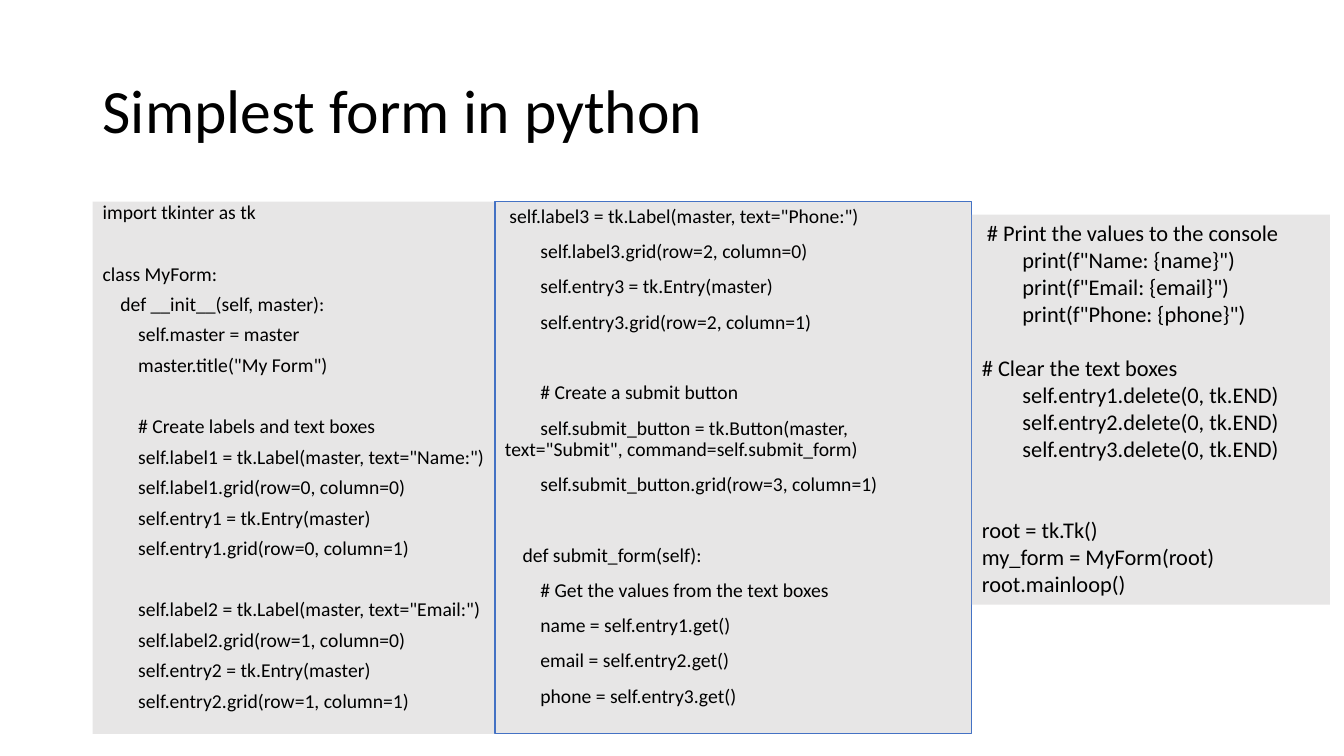
from dataclasses import dataclass

from pptx import Presentation
from pptx.dml.color import RGBColor
from pptx.enum.shapes import MSO_SHAPE
from pptx.enum.text import MSO_ANCHOR as Anchor, PP_ALIGN as Align
from pptx.util import Inches, Pt


@dataclass(frozen=True)
class Theme:
    font: str = "Calibri"
    ink: RGBColor = RGBColor(0x00, 0x00, 0x00)
    panel: RGBColor = RGBColor(0xE7, 0xE6, 0xE6)
    border: RGBColor = RGBColor(0x44, 0x72, 0xC4)
    title_size: int = 44
    code_size: int = 14
    closing_size: int = 16
    line_height: float = 1.22
    space_width: float = 0.226


theme = Theme()

prs = Presentation()
prs.slide_width, prs.slide_height = Inches(13.33), Inches(7.5)
slide = prs.slides.add_slide(prs.slide_layouts[6])


def add_line(paragraph, text, size, spacing):
    paragraph.alignment = Align.LEFT
    paragraph.line_spacing = spacing
    run = paragraph.add_run()
    run.text = text
    run.font.name = theme.font
    run.font.size = Pt(size)
    run.font.color.rgb = theme.ink


title = slide.shapes.add_textbox(Inches(0.92), Inches(0.4), Inches(11.5), Inches(1.45)).text_frame
title.word_wrap = True
title.vertical_anchor = Anchor.MIDDLE
add_line(title.paragraphs[0], "Simplest form in python", theme.title_size, 0.9)

# Each code line: leading columns, text, empty lines above.
widgets_code = [
    (0, "import tkinter as tk", 0),
    (0, "class MyForm:", 1),
    (4, "def __init__(self, master):", 0),
    (8, "self.master = master", 0),
    (8, 'master.title("My Form")', 0),
    (8, "# Create labels and text boxes", 1),
    (8, 'self.label1 = tk.Label(master, text="Name:")', 0),
    (8, "self.label1.grid(row=0, column=0)", 0),
    (8, "self.entry1 = tk.Entry(master)", 0),
    (8, "self.entry1.grid(row=0, column=1)", 0),
    (8, 'self.label2 = tk.Label(master, text="Email:")', 1),
    (8, "self.label2.grid(row=1, column=0)", 0),
    (8, "self.entry2 = tk.Entry(master)", 0),
    (8, "self.entry2.grid(row=1, column=1)", 0),
]
submit_code = [
    (1, 'self.label3 = tk.Label(master, text="Phone:")', 0),
    (8, "self.label3.grid(row=2, column=0)", 0),
    (8, "self.entry3 = tk.Entry(master)", 0),
    (8, "self.entry3.grid(row=2, column=1)", 0),
    (8, "# Create a submit button", 1),
    (8, 'self.submit_button = tk.Button(master, text="Submit", command=self.submit_form)', 0),
    (8, "self.submit_button.grid(row=3, column=1)", 0),
    (4, "def submit_form(self):", 1),
    (8, "# Get the values from the text boxes", 0),
    (8, "name = self.entry1.get()", 0),
    (8, "email = self.entry2.get()", 0),
    (8, "phone = self.entry3.get()", 0),
]
closing_code = [
    (1, "# Print the values to the console", 0),
    (8, 'print(f"Name: {name}")', 0),
    (8, 'print(f"Email: {email}")', 0),
    (8, 'print(f"Phone: {phone}")', 0),
    (0, "# Clear the text boxes", 1),
    (8, "self.entry1.delete(0, tk.END)", 0),
    (8, "self.entry2.delete(0, tk.END)", 0),
    (8, "self.entry3.delete(0, tk.END)", 0),
    (0, "root = tk.Tk()", 2),
    (0, "my_form = MyForm(root)", 0),
    (0, "root.mainloop()", 0),
]

panels = [
    (0.92, 2, 4.33, 5.28, widgets_code, theme.code_size, 0.7, 10, None),
    (4.91, 2, 4.73, 5.28, submit_code, theme.code_size, 0.9, 10, theme.border),
    (9.64, 2.13, 3.55, 3.87, closing_code, theme.closing_size, 1.0, 0, None),
]

for left, top, width, height, code, size, spacing, gap, border in panels:
    panel = slide.shapes.add_shape(
        MSO_SHAPE.RECTANGLE, Inches(left), Inches(top), Inches(width), Inches(height)
    )
    panel.shadow.inherit = False
    panel.fill.solid()
    panel.fill.fore_color.rgb = theme.panel
    if border is None:
        panel.line.fill.background()
    else:
        panel.line.color.rgb = border
        panel.line.width = Pt(0.75)

    frame = panel.text_frame
    frame.word_wrap = True
    frame.vertical_anchor = Anchor.TOP
    empty_line = size * theme.line_height * spacing + gap
    for number, (columns, text, empty_lines) in enumerate(code):
        paragraph = frame.add_paragraph() if number else frame.paragraphs[0]
        add_line(paragraph, text, size, spacing)
        paragraph.space_before = Pt(round(gap + empty_lines * empty_line, 1))
        indent = Pt(columns * theme.space_width * size)
        properties = paragraph._p.get_or_add_pPr()
        properties.set("marL", "0")
        properties.set("indent", str(indent))

prs.save("out.pptx")
